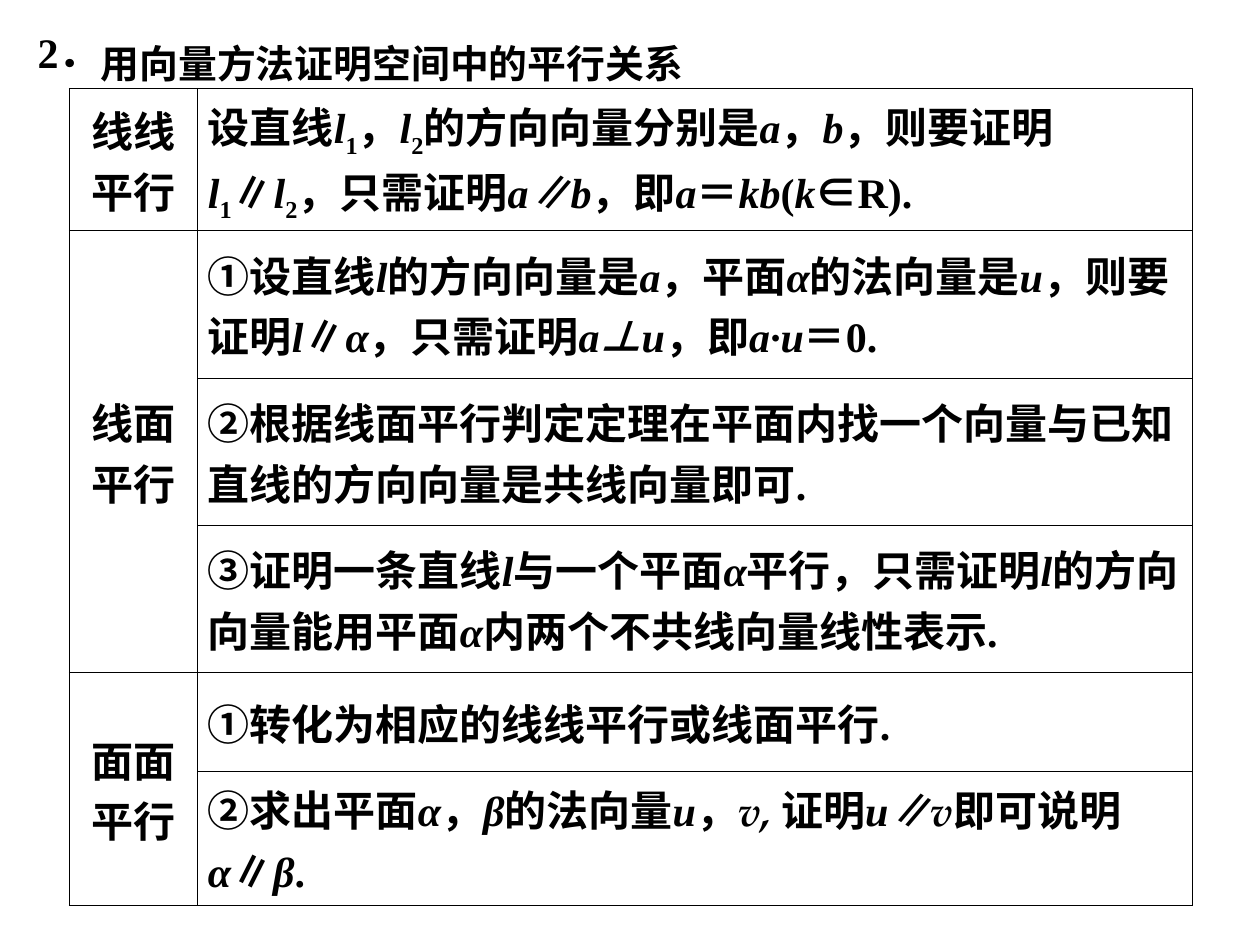
from dataclasses import dataclass

from lxml.etree import SubElement
from pptx import Presentation
from pptx.dml.color import RGBColor
from pptx.enum.lang import MSO_LANGUAGE_ID
from pptx.enum.text import MSO_ANCHOR, MSO_AUTO_SIZE, PP_ALIGN
from pptx.oxml import parse_xml
from pptx.oxml.ns import nsdecls, qn
from pptx.util import Inches, Pt


@dataclass(frozen=True)
class Theme:
    """Hold the colours, fonts and sizes of the slide."""
    ink: str = "000000"
    main: str = "Times New Roman"
    sign: str = "Noto Sans CJK SC"
    vector: str = "TeX Gyre Pagella"
    body: float = 24
    title: float = 22.2
    lead: float = 40
    rule: float = 0.45


THEME = Theme()
SIGNS = "①②③∥⊥∈"
MARKS = {
    "/": {"italic": True},
    "~": {"italic": True, "name": THEME.vector},
    "_": {},
}
WIDTHS = [1.02, 7.89]
HEIGHTS = [1.13, 1.17, 1.17, 1.17, 0.78, 1.07]
LABELS = [(0, 0, ["线线", "平行"]), (1, 3, ["线面平行"]), (4, 5, ["面面平行"])]
RULES = [
    "设直线|/l|_1|，|/l|_2|的方向向量分别是|/a|，|/b|，则要证明|/l|_1|∥|/l|_2"
    "|，只需证明|/a|/∥|/b|，即|/a|＝|/kb|(|/k|∈|R).",
    "①|设直线|/l|的方向向量是|/a|，平面|/α|的法向量是|/u|，则要证明|/l|∥|/α"
    "|，只需证明|/a|/⊥|/u|，即|/a·u|＝0.",
    "②|根据线面平行判定定理在平面内找一个向量与已知直线的方向向量是共线向量即可.",
    "③|证明一条直线|/l|与一个平面|/α|平行，只需证明|/l|的方向向量能用平面|/α"
    "|内两个不共线向量线性表示.",
    "①|转化为相应的线线平行或线面平行.",
    "②|求出平面|/α|，|/β|的法向量|/u|，|~v, |证明|/u|/∥|~v|即可说明|/α|∥|/β|.",
]


def apply(item, form):
    """Set each value of a format dict on an object."""
    for key, value in form.items():
        setattr(item, key, value)


def add_run(para, text, size):
    """Add one run, styled by its leading mark and its sign."""
    mark = text[0] if text[0] in MARKS else ""
    text = text[len(mark):]
    sign = text in SIGNS
    run = para.add_run()
    run.text = text
    form = {"name": THEME.sign if sign else THEME.main, "size": Pt(size),
            "bold": True, "italic": False,
            "language_id": MSO_LANGUAGE_ID.SIMPLIFIED_CHINESE}
    apply(run.font, form | MARKS.get(mark, {}))
    run.font.color.rgb = RGBColor.from_string(THEME.ink)
    props = run._r.get_or_add_rPr()
    if sign:
        SubElement(props, qn("a:ea")).set("typeface", THEME.sign)
    if mark == "_":
        props.set("baseline", "-25000")


def fill_text(frame, lines, size=THEME.body, **form):
    """Write marked lines as paragraphs of a text frame."""
    for index, line in enumerate(lines):
        para = frame.add_paragraph() if index else frame.paragraphs[0]
        apply(para, form)
        for part in line.split("|"):
            add_run(para, part, size)


def add_box(slide, area, text, size, frame_form, **form):
    """Add a text box holding one line."""
    frame = slide.shapes.add_textbox(*map(Inches, area)).text_frame
    apply(frame, frame_form)
    fill_text(frame, [text], size, **form)


def style_cell(cell):
    """Clear the fill, set the margins and draw the borders."""
    apply(cell, {"vertical_anchor": MSO_ANCHOR.MIDDLE,
                 "margin_left": Inches(0.08), "margin_right": Inches(0.08),
                 "margin_top": Inches(0.05), "margin_bottom": Inches(0.05)})
    cell.fill.background()
    props = cell._tc.get_or_add_tcPr()
    for index, side in enumerate("LRTB"):
        props.insert(index, parse_xml(
            f'<a:ln{side} {nsdecls("a")} w="{Pt(THEME.rule)}"><a:solidFill>'
            f'<a:srgbClr val="{THEME.ink}"/></a:solidFill></a:ln{side}>'))


def add_grid(slide):
    """Add the table of labels and rules."""
    table = slide.shapes.add_table(
        len(HEIGHTS), len(WIDTHS), Inches(0.55), Inches(0.7),
        Inches(sum(WIDTHS)), Inches(sum(HEIGHTS))).table
    apply(table, {"first_row": False, "horz_banding": False})
    for column, width in zip(table.columns, WIDTHS):
        column.width = Inches(width)
    for row, height in zip(table.rows, HEIGHTS):
        row.height = Inches(height)
    for cell in table.iter_cells():
        style_cell(cell)
    for first, last, lines in LABELS:
        cell = table.cell(first, 0)
        if last > first:
            cell.merge(table.cell(last, 0))
        fill_text(cell.text_frame, lines, alignment=PP_ALIGN.CENTER)
    for index, rule in enumerate(RULES):
        fill_text(table.cell(index, 1).text_frame, [rule])


def main():
    """Build the slide and save it."""
    deck = Presentation()
    apply(deck, {"slide_width": Inches(10), "slide_height": Inches(7.5)})
    slide = deck.slides.add_slide(deck.slide_layouts[6])
    add_box(slide, (0.7, 0.08, 8.63, 0.55), "用向量方法证明空间中的平行关系",
            THEME.title, {"word_wrap": True}, line_spacing=Pt(THEME.lead))
    add_grid(slide)
    add_box(slide, (0.2, 0.16, 0.78, 0.5), "2．", THEME.body,
            {"word_wrap": False, "auto_size": MSO_AUTO_SIZE.SHAPE_TO_FIT_TEXT})
    deck.save("out.pptx")


if __name__ == "__main__":
    main()
